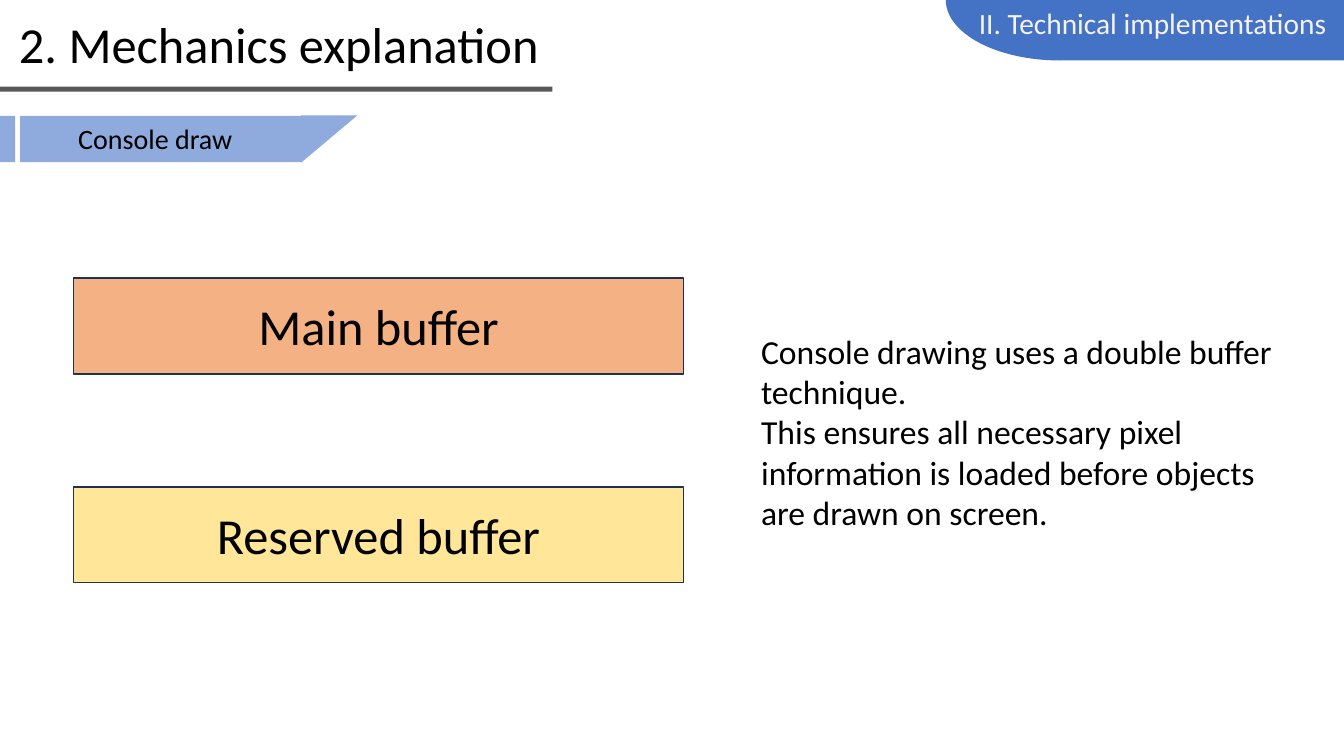
"""Build the slide on the double buffer technique for console drawing."""
from pptx import Presentation
from pptx.dml.color import RGBColor
from pptx.enum.shapes import MSO_SHAPE
from pptx.enum.text import MSO_ANCHOR, MSO_AUTO_SIZE, PP_ALIGN
from pptx.util import Pt

PX = 9144
BLUE = RGBColor(0x44, 0x72, 0xC4)
PALE = RGBColor(0x8F, 0xAA, 0xDC)
GRAY = RGBColor(0x59, 0x59, 0x59)
NAVY = RGBColor(0x1E, 0x32, 0x56)
PEACH = RGBColor(0xF4, 0xB1, 0x83)
CREAM = RGBColor(0xFF, 0xE6, 0x99)
BLACK = RGBColor(0, 0, 0)
WHITE = RGBColor(0xF5, 0xF2, 0xF2)
FRAME = {"word_wrap": True, "auto_size": MSO_AUTO_SIZE.SHAPE_TO_FIT_TEXT,
         "vertical_anchor": MSO_ANCHOR.TOP}


def scale(*box):
    """Turn px lengths into EMU."""
    return [n * PX for n in box]


def apply(item, values):
    """Set each named value on the item."""
    for name, value in values.items():
        setattr(item, name, value)


def draw(slide, kind, box, fill, edge=None, turn=0):
    """Add a filled shape, with an outline if an edge colour is given."""
    shape = slide.shapes.add_shape(kind, *scale(*box))
    shape.rotation = turn
    shape.shadow.inherit = False
    shape.fill.solid()
    shape.fill.fore_color.rgb = fill
    if edge is None:
        shape.line.fill.background()
    else:
        shape.line.color.rgb = edge
        shape.line.width = Pt(1)
    return shape


def fill_text(shape, lines, size, color=BLACK, align=PP_ALIGN.LEFT):
    """Write the lines as paragraphs of one style."""
    frame = shape.text_frame
    frame.text = "\n".join(lines)
    apply(frame, FRAME)
    for para in frame.paragraphs:
        para.alignment = align
        for run in para.runs:
            apply(run.font, {"name": "Calibri", "size": Pt(size)})
            run.font.color.rgb = color


def write(slide, box, lines, size, **style):
    """Add a text box."""
    fill_text(slide.shapes.add_textbox(*scale(*box)), lines, size, **style)


def add_head(slide):
    """Add the section tab and the underlined heading."""
    draw(slide, MSO_SHAPE.ARC, (938, -60, 227, 120), BLUE, turn=180)
    draw(slide, MSO_SHAPE.RECTANGLE, (1051, 0, 283, 60), BLUE)
    write(slide, (961, 0, 377, 45), ["II. Technical implementations"], 21,
          color=WHITE)
    draw(slide, MSO_SHAPE.RECTANGLE, (0, 86, 548, 5), GRAY)
    write(slide, (9, 8, 560, 71), ["2. Mechanics explanation"], 36)


def add_topic(slide):
    """Add the ribbon and lay the title over it."""
    for left, width in ((0, 15), (20, 279)):
        draw(slide, MSO_SHAPE.RECTANGLE, (left, 115, width, 46), PALE)
    flag = draw(slide, MSO_SHAPE.RIGHT_TRIANGLE, (303, 110, 47, 56), PALE,
                turn=90)
    title = slide.shapes.title
    flag.element.addnext(title.element)
    place = scale(19, 116, 270, 45)
    apply(title, dict(zip(("left", "top", "width", "height"), place)))
    fill_text(title, ["Console draw"], 20, align=PP_ALIGN.CENTER)


def add_buffer(slide, top, name, fill):
    """Add one buffer bar with its name."""
    draw(slide, MSO_SHAPE.RECTANGLE, (73, top, 605, 95), fill, edge=NAVY)
    write(slide, (123, top + 12, 505, 71), [name], 36,
          align=PP_ALIGN.CENTER)


def main():
    """Build and save the slide."""
    deck = Presentation()
    apply(deck, {"slide_width": 1333 * PX, "slide_height": 750 * PX})
    slide = deck.slides.add_slide(deck.slide_layouts[5])
    add_head(slide)
    add_topic(slide)
    write(slide, (745, 323, 545, 212), [
        "Console drawing uses a double buffer technique.",
        "This ensures all necessary pixel information is loaded before "
        "objects are drawn on screen."], 24)
    add_buffer(slide, 276, "Main buffer", PEACH)
    add_buffer(slide, 483, "Reserved buffer", CREAM)
    deck.save("out.pptx")


if __name__ == "__main__":
    main()
